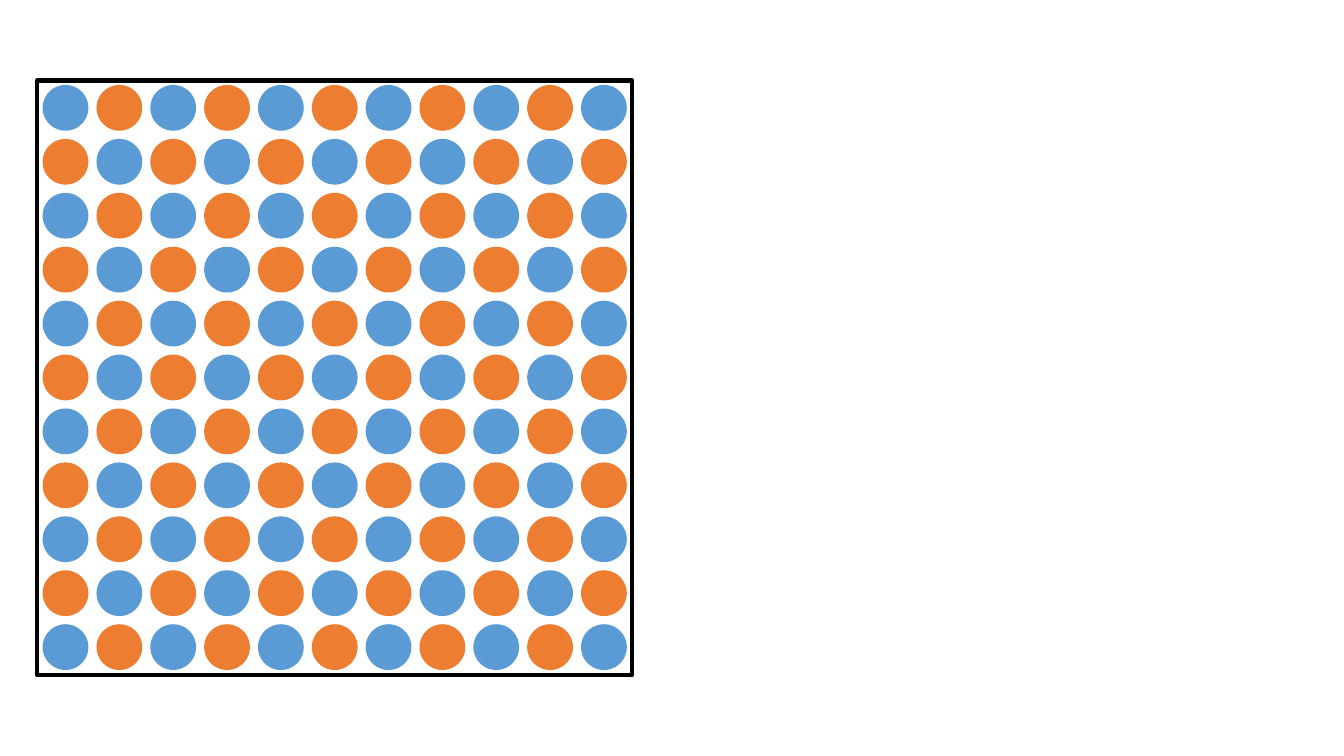
from dataclasses import dataclass

from pptx import Presentation
from pptx.dml.color import RGBColor
from pptx.enum.shapes import MSO_SHAPE
from pptx.util import Inches, Pt

OVAL = MSO_SHAPE.OVAL
RECTANGLE = MSO_SHAPE.RECTANGLE


@dataclass(frozen=True)
class Theme:
    blue: RGBColor = RGBColor(0x5B, 0x9B, 0xD5)
    orange: RGBColor = RGBColor(0xED, 0x7D, 0x31)
    black: RGBColor = RGBColor(0, 0, 0)
    dot_line: Pt = Pt(1)
    frame_line: Pt = Pt(3)


THEME = Theme()
DOTS_PER_SIDE = 11
DOT_SIZE = 0.44
INSET_X, INSET_Y = 0.06, 0.05
SPAN_X, SPAN_Y = 5.34, 5.35


def add_dot(lattice, left, top, color):
    dot = lattice.shapes.add_shape(
        OVAL, Inches(left), Inches(top), Inches(DOT_SIZE), Inches(DOT_SIZE))
    dot.shadow.inherit = False
    dot.fill.solid()
    dot.fill.fore_color.rgb = color
    dot.line.color.rgb = color
    dot.line.width = THEME.dot_line


def add_frame(lattice, left, top, width, height):
    frame = lattice.shapes.add_shape(
        RECTANGLE, Inches(left), Inches(top), Inches(width), Inches(height))
    frame.shadow.inherit = False
    frame.fill.background()
    frame.line.color.rgb = THEME.black
    frame.line.width = THEME.frame_line


def add_lattice(slide, left, top, width, height):
    lattice = slide.shapes.add_group_shape()
    pitch_x = SPAN_X / (DOTS_PER_SIDE - 1)
    pitch_y = SPAN_Y / (DOTS_PER_SIDE - 1)
    for row in range(DOTS_PER_SIDE):
        for column in range(DOTS_PER_SIDE):
            color = THEME.orange if (row + column) % 2 else THEME.blue
            add_dot(lattice, left + INSET_X + column * pitch_x,
                    top + INSET_Y + row * pitch_y, color)
    add_frame(lattice, left, top, width, height)


def main():
    deck = Presentation()
    deck.slide_width = Inches(13.33)
    deck.slide_height = Inches(7.5)
    slide = deck.slides.add_slide(deck.slide_layouts[6])
    add_lattice(slide, 0.37, 0.8, 5.9, 5.9)
    deck.save("out.pptx")


if __name__ == "__main__":
    main()
